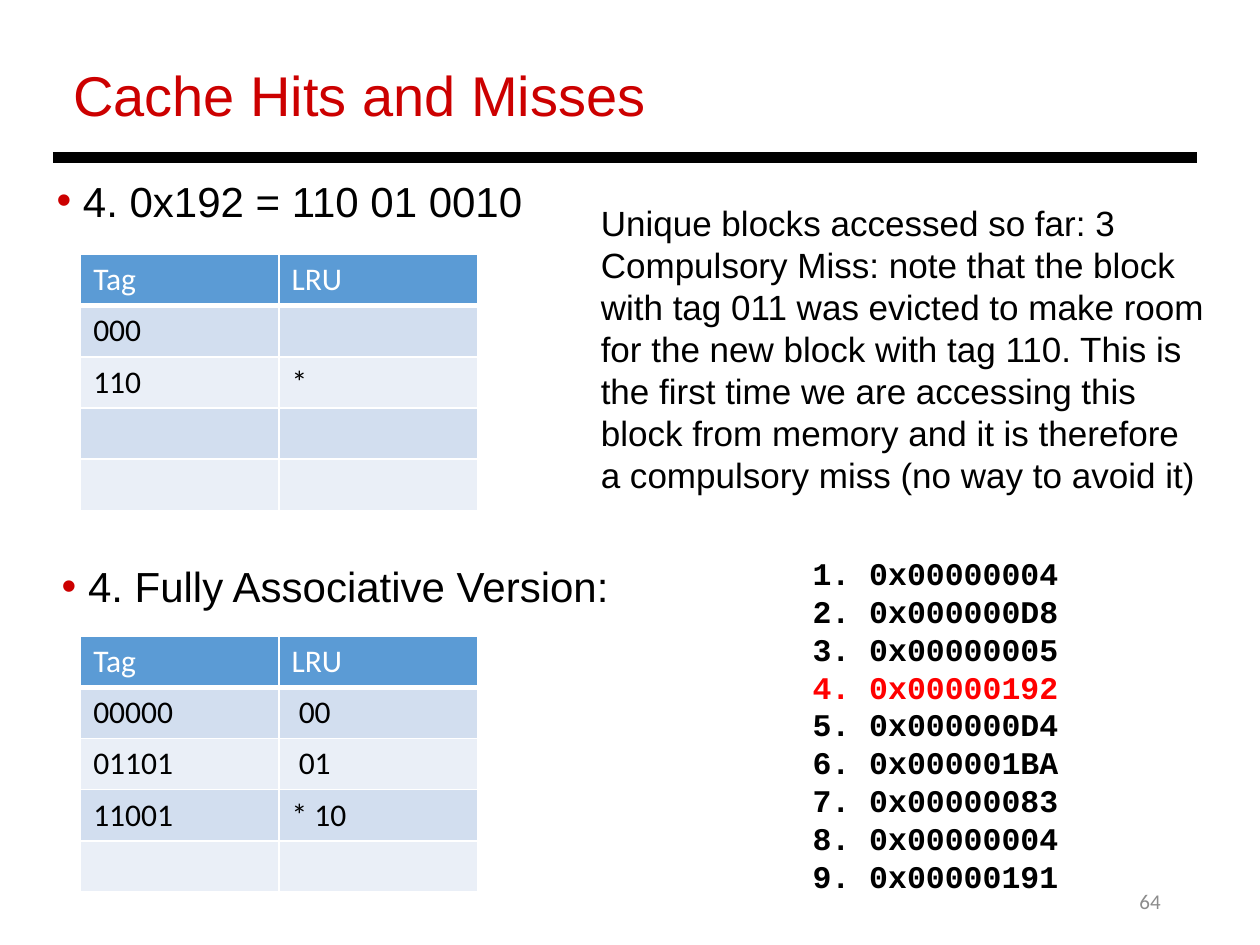
import lxml.etree
import pptx
import pptx.dml.color
import pptx.enum.shapes
import pptx.enum.text
import pptx.oxml
import pptx.oxml.ns
import pptx.util

Inches = pptx.util.Inches
Pt = pptx.util.Pt
Align = pptx.enum.text.PP_ALIGN
Anchor = pptx.enum.text.MSO_ANCHOR


def colour(value):
    return pptx.dml.color.RGBColor.from_string(value)


def apply(target, values):
    for name, value in values.items():
        setattr(target, name, value)


def add_element(parent, tag, **attributes):
    element = lxml.etree.SubElement(parent, pptx.oxml.ns.qn(tag))
    for name, value in attributes.items():
        element.set(name, str(value))
    return element


class LectureSlide:
    """Holds the lecture style and adds each kind of element to the slide."""

    black, white, accent, highlight, grey = "000000", "FFFFFF", "CC0000", "FF0000", "8C8C8C"
    header_fill, band_fills = "5B9BD5", ("D2DEEF", "EAEFF7")
    heading = {"name": "Arial", "size": Pt(32)}
    bullet_font = {"name": "Arial", "size": Pt(24)}
    body = {"name": "Arial", "size": Pt(20)}
    code = {"name": "Courier New", "size": Pt(18), "bold": True}
    cell_font = {"name": "Calibri", "size": Pt(18)}
    number_font = {"name": "Calibri", "size": Pt(12)}

    def __init__(self, deck):
        self.slide = deck.slides.add_slide(deck.slide_layouts[5])

    def add_span(self, para, text, font, ink):
        span = para.add_run()
        span.text = text
        apply(span.font, font)
        span.font.color.rgb = colour(ink)

    def title(self, text, left, top, width, height):
        box = self.slide.shapes.title
        apply(box, {"left": Inches(left), "top": Inches(top),
                    "width": Inches(width), "height": Inches(height)})
        apply(box.text_frame, {"vertical_anchor": Anchor.MIDDLE, "word_wrap": True})
        para = box.text_frame.paragraphs[0]
        para.alignment = Align.LEFT
        self.add_span(para, text, self.heading, self.accent)

    def rule(self, left, right, top, weight):
        line = self.slide.shapes.add_connector(
            pptx.enum.shapes.MSO_CONNECTOR.STRAIGHT,
            Inches(left), Inches(top), Inches(right), Inches(top))
        line.line.width = Pt(weight)
        line.line.color.rgb = colour(self.black)
        add_element(line._element.spPr, "a:effectLst")

    def text(self, lines, left, top, width, height, font, ink=black, marked=None,
             spacing=None, align=Align.LEFT, anchor=Anchor.TOP):
        box = self.slide.shapes.add_textbox(
            Inches(left), Inches(top), Inches(width), Inches(height))
        frame = box.text_frame
        apply(frame, {"word_wrap": True, "vertical_anchor": anchor})
        for index, line in enumerate(lines):
            para = frame.paragraphs[0] if index == 0 else frame.add_paragraph()
            apply(para, {"alignment": align, "line_spacing": spacing})
            self.add_span(para, line, font, self.highlight if index == marked else ink)
        return frame

    def bullet(self, text, left, top, width, height):
        frame = self.text([text], left, top, width, height, self.bullet_font)
        properties = frame.paragraphs[0]._p.get_or_add_pPr()
        indent = Inches(0.21)
        properties.set("marL", str(indent))
        properties.set("indent", str(-indent))
        add_element(add_element(properties, "a:buClr"), "a:srgbClr", val=self.accent)
        add_element(properties, "a:buFont", typeface="Arial")
        add_element(properties, "a:buChar", char="•")

    def borders(self, cell, is_header):
        properties = cell._tc.get_or_add_tcPr()
        for side in "LRTB":
            weight = 3 if is_header and side == "B" else 1
            edge = add_element(properties, f"a:ln{side}", w=Pt(weight))
            add_element(add_element(edge, "a:solidFill"), "a:srgbClr", val=self.white)

    def table(self, rows, left, top, width, height):
        table = self.slide.shapes.add_table(
            len(rows), len(rows[0]), Inches(left), Inches(top),
            Inches(width), Inches(height)).table
        for row, values in enumerate(rows):
            is_header = row == 0
            fill = self.header_fill if is_header else self.band_fills[(row - 1) % 2]
            for column, value in enumerate(values):
                cell = table.cell(row, column)
                self.borders(cell, is_header)
                cell.fill.solid()
                cell.fill.fore_color.rgb = colour(fill)
                if value:
                    ink = self.white if is_header else self.black
                    self.add_span(cell.text_frame.paragraphs[0], value, self.cell_font, ink)


def main():
    deck = pptx.Presentation()
    apply(deck, {"slide_width": Inches(10), "slide_height": Inches(7.5)})
    page = LectureSlide(deck)

    page.text(["64"], 7.06, 6.95, 2.25, 0.4, page.number_font, page.grey,
              align=Align.RIGHT, anchor=Anchor.MIDDLE)
    page.title("Cache Hits and Misses", 0.48, 0.43, 8.79, 0.64)
    page.rule(0.42, 9.5, 1.25, 6)

    page.bullet("4. 0x192 = 110 01 0010", 0.35, 1.34, 8.92, 0.5)
    addresses = ["00000004", "000000D8", "00000005", "00000192", "000000D4",
                 "000001BA", "00000083", "00000004", "00000191"]
    accesses = [f"{number}. 0x{address}" for number, address in enumerate(addresses, 1)]
    page.text(accesses, 6.35, 4.35, 2.75, 2.83, page.code, marked=3, spacing=Pt(21.6))

    header = ("Tag", "LRU")
    page.table([header, ("000", ""), ("110", "*"), ("", ""), ("", "")],
               0.64, 2.02, 3.15, 2.03)
    page.bullet("4. Fully Associative Version:", 0.39, 4.4, 8.92, 0.5)
    page.table([header, ("00000", " 00"), ("01101", " 01"), ("11001", "* 10"), ("", "")],
               0.64, 5.05, 3.15, 2.03)

    page.text(["Unique blocks accessed so far: 3",
               "Compulsory Miss: note that the block with tag 011 was evicted to make room "
               "for the new block with tag 110. This is the first time we are accessing this "
               "block from memory and it is therefore a compulsory miss (no way to avoid it)"],
              4.67, 1.55, 5, 2.46, page.body, spacing=Pt(24))
    deck.save("out.pptx")


if __name__ == "__main__":
    main()
